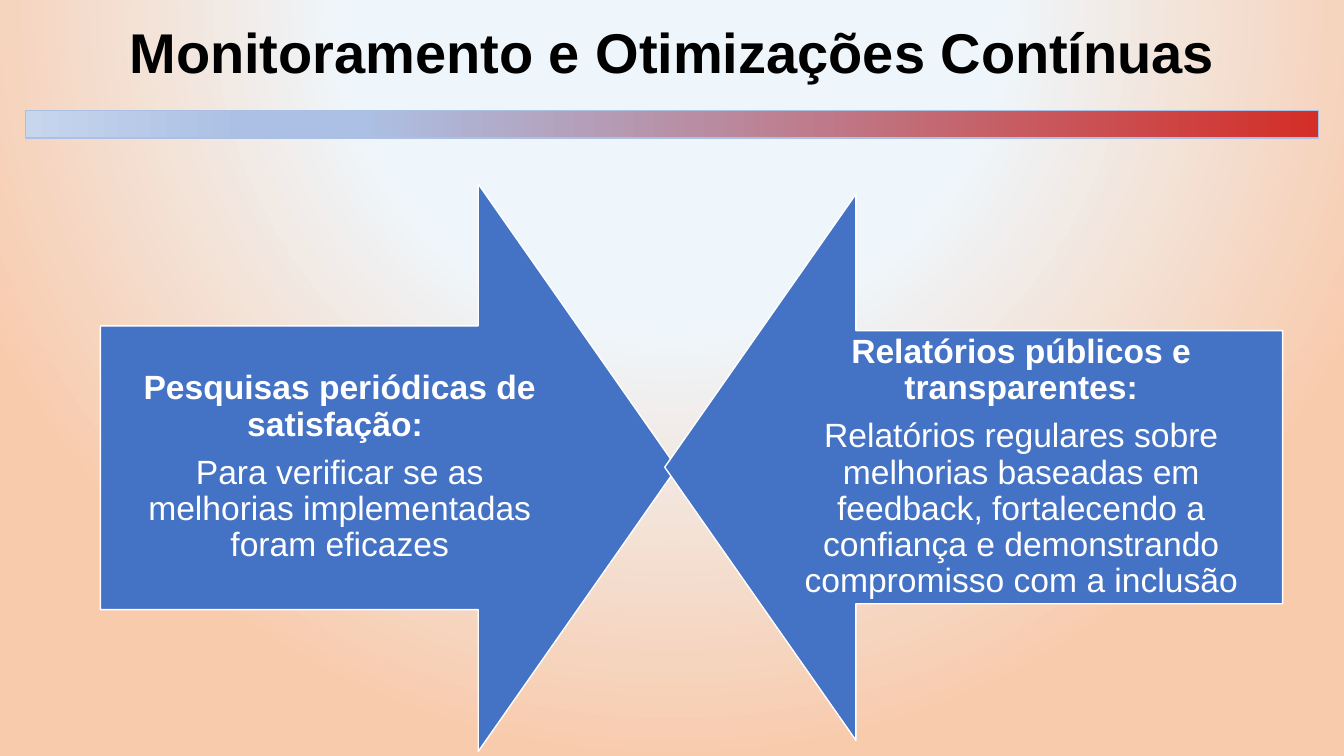
from dataclasses import dataclass

from lxml import etree
from pptx import Presentation
from pptx.dml.color import RGBColor
from pptx.enum.shapes import MSO_SHAPE
from pptx.enum.text import MSO_ANCHOR, MSO_AUTO_SIZE, PP_ALIGN
from pptx.oxml.ns import qn
from pptx.util import Pt

RECT = MSO_SHAPE.RECTANGLE
ARROW = MSO_SHAPE.DOWN_ARROW
TOP = MSO_ANCHOR.TOP
MIDDLE = MSO_ANCHOR.MIDDLE
GROW = MSO_AUTO_SIZE.SHAPE_TO_FIT_TEXT
FIXED = MSO_AUTO_SIZE.NONE
CENTER = PP_ALIGN.CENTER


@dataclass(frozen=True)
class Theme:
    font: str = "Arial"
    head: int = 40
    body: int = 24
    ink: str = "000000"
    pale: str = "FFFFFF"
    blue: str = "4472C4"
    edge: str = "ABC0E4"
    sky: tuple = ((42, "EFF6FB"), (99, "F8CBAD"))
    band: tuple = ((0, "D32E27"), (74, "ABC0E4"), (83, "ABC0E4"), (100, "C7D5ED"))


def color(code):
    return RGBColor.from_string(code)


def write(para, text, *, font, size, ink, bold=False, line=1.0, after=0):
    para.alignment = CENTER
    para.line_spacing = line
    para.space_after = Pt(after)
    run = para.add_run()
    run.text = text
    run.font.name = font
    run.font.size = Pt(size)
    run.font.bold = bold
    run.font.color.rgb = color(ink)


def blend(root, stops):
    grad = next(root.iter(qn("a:gradFill")))
    items = grad.find(qn("a:gsLst"))
    for old in list(items):
        items.remove(old)
    for spot, code in stops:
        stop = etree.SubElement(items, qn("a:gs"), pos=str(spot * 1000))
        etree.SubElement(stop, qn("a:srgbClr"), val=code)
    return grad


class Deck:
    def __init__(self, theme):
        self.theme = theme
        self.file = Presentation()
        self.file.slide_width, self.file.slide_height = Pt(960), Pt(540)
        self.slide = self.file.slides.add_slide(self.file.slide_layouts[5])

    def back(self):
        self.slide.background.fill.gradient()
        grad = blend(self.slide.element, self.theme.sky)
        grad.remove(grad.find(qn("a:lin")))
        glow = etree.SubElement(grad, qn("a:path"))
        glow.set("path", "circle")
        etree.SubElement(glow, qn("a:fillToRect"), l="50000", t="-80000", r="50000", b="180000")

    def title(self, text, box):
        title = self.slide.shapes.title
        title.left, title.top, title.width, title.height = map(Pt, box)
        frame = title.text_frame
        frame.word_wrap = True
        frame.auto_size = GROW
        frame.vertical_anchor = TOP
        write(frame.paragraphs[0], text, font=self.theme.font,
              size=self.theme.head, ink=self.theme.ink, bold=True)

    def shape(self, kind, box, edge):
        shape = self.slide.shapes.add_shape(kind, *map(Pt, box))
        shape.shadow.inherit = False
        shape.line.color.rgb = color(edge)
        shape.line.width = Pt(1)
        return shape

    def bar(self, box):
        bar = self.shape(RECT, box, self.theme.edge)
        bar.fill.gradient()
        bar.fill.gradient_angle = 180
        blend(bar.element, self.theme.band)

    def arrow(self, box, turn):
        arrow = self.shape(ARROW, box, self.theme.pale)
        arrow.adjustments[0] = 0.5
        arrow.adjustments[1] = 0.35
        arrow.rotation = turn
        arrow.fill.solid()
        arrow.fill.fore_color.rgb = color(self.theme.blue)

    def text(self, box, head, body):
        frame = self.slide.shapes.add_textbox(*map(Pt, box)).text_frame
        frame.word_wrap = True
        frame.auto_size = FIXED
        frame.vertical_anchor = MIDDLE
        frame.margin_left = frame.margin_right = Pt(13.7)
        frame.margin_top = frame.margin_bottom = Pt(13.7)
        for para, words, bold in ((frame.paragraphs[0], head, True),
                                  (frame.add_paragraph(), body, False)):
            write(para, words, font=self.theme.font, size=self.theme.body,
                  ink=self.theme.pale, bold=bold, line=0.9, after=8.4)


def main():
    deck = Deck(Theme())
    deck.back()
    deck.bar((18, 79, 924, 19.6))
    deck.title("Monitoramento e Otimizações Contínuas", (0, 8.6, 960, 55.7))
    deck.arrow((74.9, 128.2, 405.4, 411.8), 270)
    deck.text((72, 232.6, 341.3, 202.3), "Pesquisas periódicas de satisfação: ",
              "Para verificar se as melhorias implementadas foram eficazes")
    deck.arrow((500.4, 113, 390.2, 441.4), 90)
    deck.text((542.9, 236.2, 373, 195.1), "Relatórios públicos e transparentes:",
              "Relatórios regulares sobre melhorias baseadas em feedback, "
              "fortalecendo a confiança e demonstrando compromisso com a inclusão")
    deck.file.save("out.pptx")


if __name__ == "__main__":
    main()
